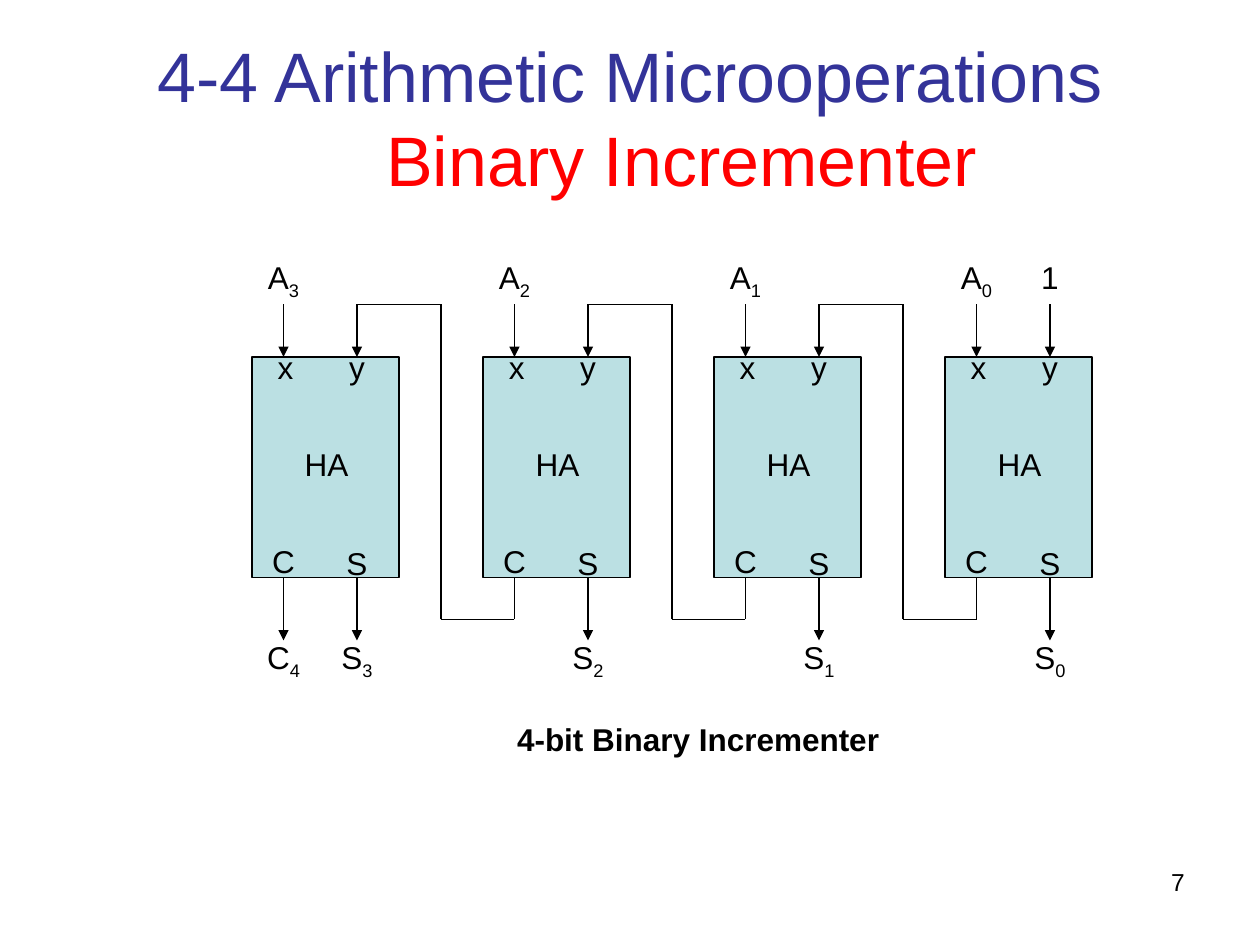
from dataclasses import dataclass
from itertools import pairwise

from lxml import etree
from pptx import Presentation, util as u
from pptx.dml.color import RGBColor
from pptx.enum import shapes, text
from pptx.oxml.ns import qn

BLACK, BLUE, RED, TEAL = "000000", "333399", "FF0000", "BBE0E3"
FONT = "Arial"

# Grid of 120 columns by 90 rows, twelve to the inch
STAGES = 4
FIRST_LEFT, PITCH = 24, 22
ADDER_WIDTH, ADDER_HEIGHT = 14, 21
ADDER_TOP = 34
ADDER_BOTTOM = ADDER_TOP + ADDER_HEIGHT
LEFT_PORT, RIGHT_PORT = 3, 10
INPUT_ROW, CARRY_ROW, OUTPUT_ROW = 29, 59, 61
CARRY_LANE = -4


@dataclass(frozen=True)
class Label:
    words: str
    center: float
    top: float
    width: float = 6
    subscript: str = ""
    bold: bool = False


PORT_LABELS = (
    Label("C", LEFT_PORT, 51),
    Label("S", RIGHT_PORT, 51.2),
    Label("x", LEFT_PORT + 0.2, 32.6, 4),
    Label("y", RIGHT_PORT, 32.6),
    Label("HA", ADDER_WIDTH / 2 + 0.1, 41.8, 9),
)


def grid(count: float) -> u.Length:
    return u.Inches(count / 12)


def colour(value: str) -> RGBColor:
    return RGBColor.from_string(value)


def add_span(para, words: str, size: float, ink: str = BLACK, bold: bool = False):
    span = para.add_run()
    span.text = words
    span.font.name, span.font.size, span.font.bold = FONT, u.Pt(size), bold
    span.font.color.rgb = colour(ink)
    return span


def add_box(page, left: float, top: float, width: float, height: float, align):
    """Add a wrapping text box and return its frame and first paragraph."""
    box = page.shapes.add_textbox(grid(left), grid(top), grid(width), grid(height))
    frame = box.text_frame
    frame.word_wrap = True
    para = frame.paragraphs[0]
    para.alignment = align
    return frame, para


def draw_label(page, label: Label, origin: float = 0) -> None:
    height = 5.3 if label.subscript else 4.8
    left = origin + label.center - label.width / 2
    frame, para = add_box(page, left, label.top, label.width, height,
                          text.PP_ALIGN.CENTER)
    frame.auto_size = text.MSO_AUTO_SIZE.SHAPE_TO_FIT_TEXT
    para.space_before = u.Pt(11.2)
    add_span(para, label.words, 18, bold=label.bold)
    if label.subscript:
        span = add_span(para, label.subscript, 18)
        span.font._element.set("baseline", "-25000")


def draw_wire(page, *points: tuple[float, float], arrow: bool = True) -> None:
    """Join the points with straight lines, the last one with an arrowhead."""
    for start, end in pairwise(points):
        line = page.shapes.add_connector(
            shapes.MSO_CONNECTOR.STRAIGHT, *map(grid, start + end))
        line.line.color.rgb = colour(BLACK)
        line.line.width = u.Pt(0.75)
        if arrow and end == points[-1]:
            outline = line.line._get_or_add_ln()
            etree.SubElement(outline, qn("a:tailEnd"), type="triangle")
        etree.SubElement(line._element.spPr, qn("a:effectLst"))


def draw_adder(page, left: float) -> None:
    adder = page.shapes.add_shape(
        shapes.MSO_SHAPE.RECTANGLE,
        *map(grid, (left, ADDER_TOP, ADDER_WIDTH, ADDER_HEIGHT)))
    adder.shadow.inherit = False
    adder.fill.solid()
    adder.fill.fore_color.rgb = colour(TEAL)
    adder.line.color.rgb = colour(BLACK)
    adder.line.width = u.Pt(0.75)
    for label in PORT_LABELS:
        draw_label(page, label, left)


def draw_stage(page, column: int) -> None:
    left = FIRST_LEFT + column * PITCH
    bit = str(STAGES - 1 - column)
    x, y = left + LEFT_PORT, left + RIGHT_PORT
    draw_adder(page, left)
    draw_wire(page, (x, INPUT_ROW), (x, ADDER_TOP))
    draw_wire(page, (y, ADDER_BOTTOM), (y, OUTPUT_ROW))
    draw_label(page, Label("A", x, 24, 8, bit))
    draw_label(page, Label("S", y, 60.2, 8, bit))
    if column == 0:
        draw_wire(page, (x, ADDER_BOTTOM), (x, OUTPUT_ROW))
        draw_label(page, Label("C", x, 60.2, 8, str(STAGES)))
    else:
        lane, next_y = left + CARRY_LANE, y - PITCH
        draw_wire(page, (x, ADDER_BOTTOM), (x, CARRY_ROW), (lane, CARRY_ROW),
                  (lane, INPUT_ROW), (next_y, INPUT_ROW), (next_y, ADDER_TOP))
    if column == STAGES - 1:
        draw_wire(page, (y, INPUT_ROW), (y, ADDER_TOP))
        draw_label(page, Label("1", y, 24, 8))


def draw_title(page) -> None:
    frame, para = add_box(page, 6, 3.6, 108, 15, text.PP_ALIGN.CENTER)
    frame.vertical_anchor = text.MSO_ANCHOR.MIDDLE
    hanging = u.Inches(0.82)
    properties = para._p.get_or_add_pPr()
    properties.set("marL", str(hanging))
    properties.set("indent", str(-hanging))
    add_span(para, "4-4 Arithmetic Microoperations ", 40, BLUE)
    add_span(para, "Binary Incrementer", 40, RED)


def main() -> None:
    deck = Presentation()
    deck.slide_width, deck.slide_height = grid(120), grid(90)
    page = deck.slides.add_slide(deck.slide_layouts[6])
    draw_title(page)
    for column in reversed(range(STAGES)):
        draw_stage(page, column)
    draw_label(page, Label("4-bit Binary Incrementer", 66.5, 68, 73, bold=True))
    _, para = add_box(page, 86, 82, 28, 6.25, text.PP_ALIGN.RIGHT)
    add_span(para, "7", 14)
    deck.save("out.pptx")


if __name__ == "__main__":
    main()
